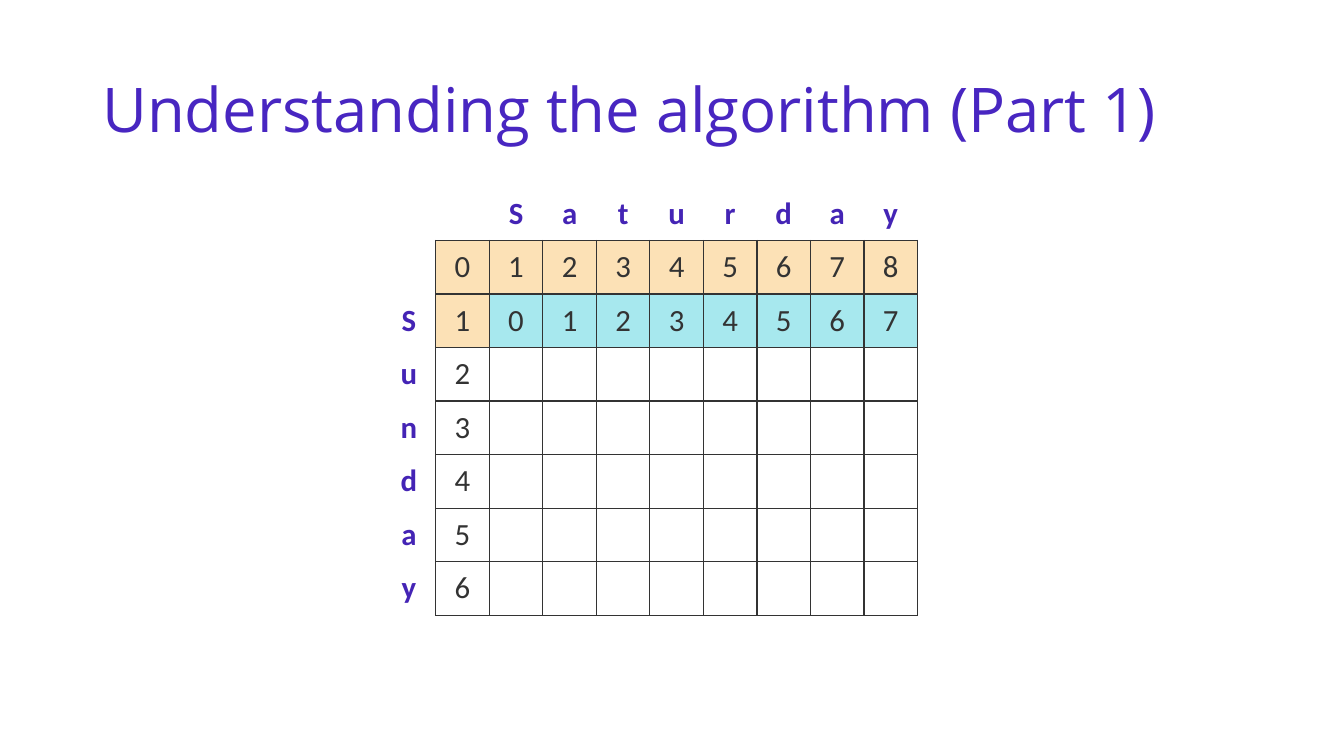
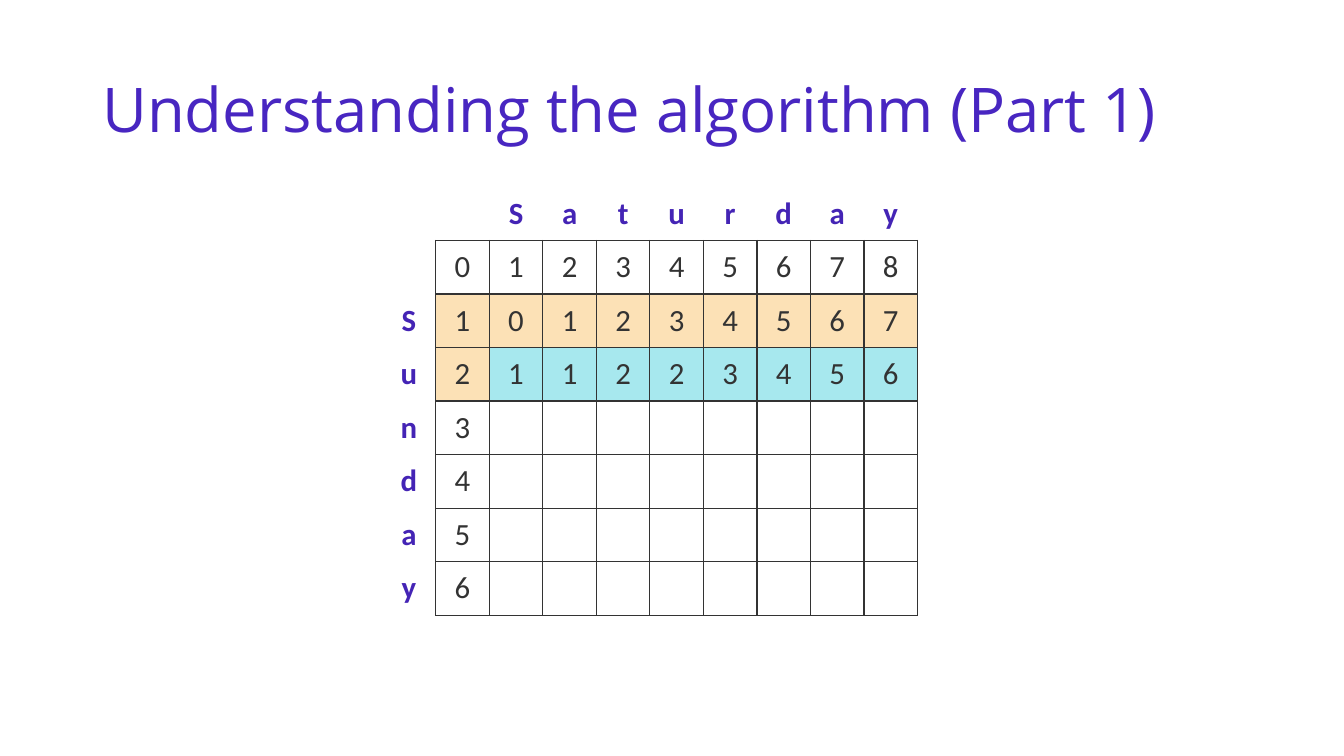
from lxml import etree
from pptx import Presentation
from pptx.dml.color import RGBColor
from pptx.enum.text import MSO_ANCHOR, PP_ALIGN
from pptx.oxml.ns import qn
from pptx.util import Emu, Pt

MIDDLE, CENTER = MSO_ANCHOR.MIDDLE, PP_ALIGN.CENTER

# Content: each step lists the distance rows known so far
TITLE = "Understanding the algorithm (Part 1)"
TARGET, SOURCE = "Saturday", "Sunday"
DISTANCES = [
    [0, 1, 2, 3, 4, 5, 6, 7, 8],
    [1, 0, 1, 2, 3, 4, 5, 6, 7],
    [2, 1, 1, 2, 2, 3, 4, 5, 6],
]
STEPS = [1, 2]  # distance row being computed on each slide

# Shared look
WHITE, INK, USED, COMPUTED = "FFFFFF", "333333", "FCE1B6", "A7E8EE"
TITLE_FONT = {"name": "Open Sans", "size": Pt(44), "color": "4826C1"}
LABEL_FONT = {"name": "Calibri", "size": Pt(22), "color": "4424B5", "bold": True}
VALUE_FONT = {**LABEL_FONT, "color": INK, "bold": False}

# Layout in px, 96 to the inch
SLIDE = (1280, 720)
TITLE_BOX = (88, 38, 1104, 139)
TABLE_LEFT, TABLE_TOP, CELL = 364, 178, 51
MARGINS = {"margin_left": 12, "margin_right": 12, "margin_top": 6, "margin_bottom": 6}


def px(n):
    return Emu(n * 9525)


def rgb(value):
    return RGBColor.from_string(value)


def write(p, text, fmt):
    r = p.add_run()
    r.text = text
    for key, value in fmt.items():
        if key == "color":
            r.font.color.rgb = rgb(value)
        else:
            setattr(r.font, key, value)


def set_borders(cell, sides):
    """Draw the given sides (letters of LRTB) and clear the others."""
    tc_pr = cell._tc.get_or_add_tcPr()
    for i, side in enumerate("LRTB"):
        ln = etree.Element(qn(f"a:ln{side}"), w=str(Pt(1)))
        if side in sides:
            fill = etree.SubElement(ln, qn("a:solidFill"))
            etree.SubElement(fill, qn("a:srgbClr"), val=INK)
        else:
            etree.SubElement(ln, qn("a:noFill"))
        tc_pr.insert(i, ln)


def cell_text(row, col, step):
    if row == 0:
        return TARGET[col - 2] if col > 1 else ""
    if col == 0:
        return SOURCE[row - 2] if row > 1 else ""
    if row - 1 <= step:
        return str(DISTANCES[row - 1][col - 1])
    return str(row - 1) if col == 1 else ""


def cell_fill(row, col, step):
    if col > 0 and row == step or col == 1 and row == step + 1:
        return USED
    return COMPUTED if col > 1 and row == step + 1 else WHITE


def cell_sides(row, col):
    if row and col:
        return "LRTB"
    return "R" if row else "B" if col else ""


def add_title(s):
    tf = s.shapes.add_textbox(*map(px, TITLE_BOX)).text_frame
    tf.word_wrap = True
    tf.vertical_anchor = MIDDLE
    p = tf.paragraphs[0]
    p.line_spacing = 0.9
    write(p, TITLE, TITLE_FONT)


def add_matrix(s, step):
    rows, cols = len(SOURCE) + 2, len(TARGET) + 2
    box = (TABLE_LEFT, TABLE_TOP, cols * CELL, rows * CELL)
    table = s.shapes.add_table(rows, cols, *map(px, box)).table
    table.first_row = table.horz_banding = False
    for row in range(rows):
        for col in range(cols):
            cell = table.cell(row, col)
            cell.vertical_anchor = MIDDLE
            for side, size in MARGINS.items():
                setattr(cell, side, px(size))
            cell.fill.solid()
            cell.fill.fore_color.rgb = rgb(cell_fill(row, col, step))
            set_borders(cell, cell_sides(row, col))
            text = cell_text(row, col, step)
            if text:
                p = cell.text_frame.paragraphs[0]
                p.alignment = CENTER
                write(p, text, VALUE_FONT if row and col else LABEL_FONT)


def main():
    prs = Presentation()
    prs.slide_width, prs.slide_height = map(px, SLIDE)
    for step in STEPS:
        s = prs.slides.add_slide(prs.slide_layouts[6])
        add_title(s)
        add_matrix(s, step)
    prs.save("out.pptx")


if __name__ == "__main__":
    main()
